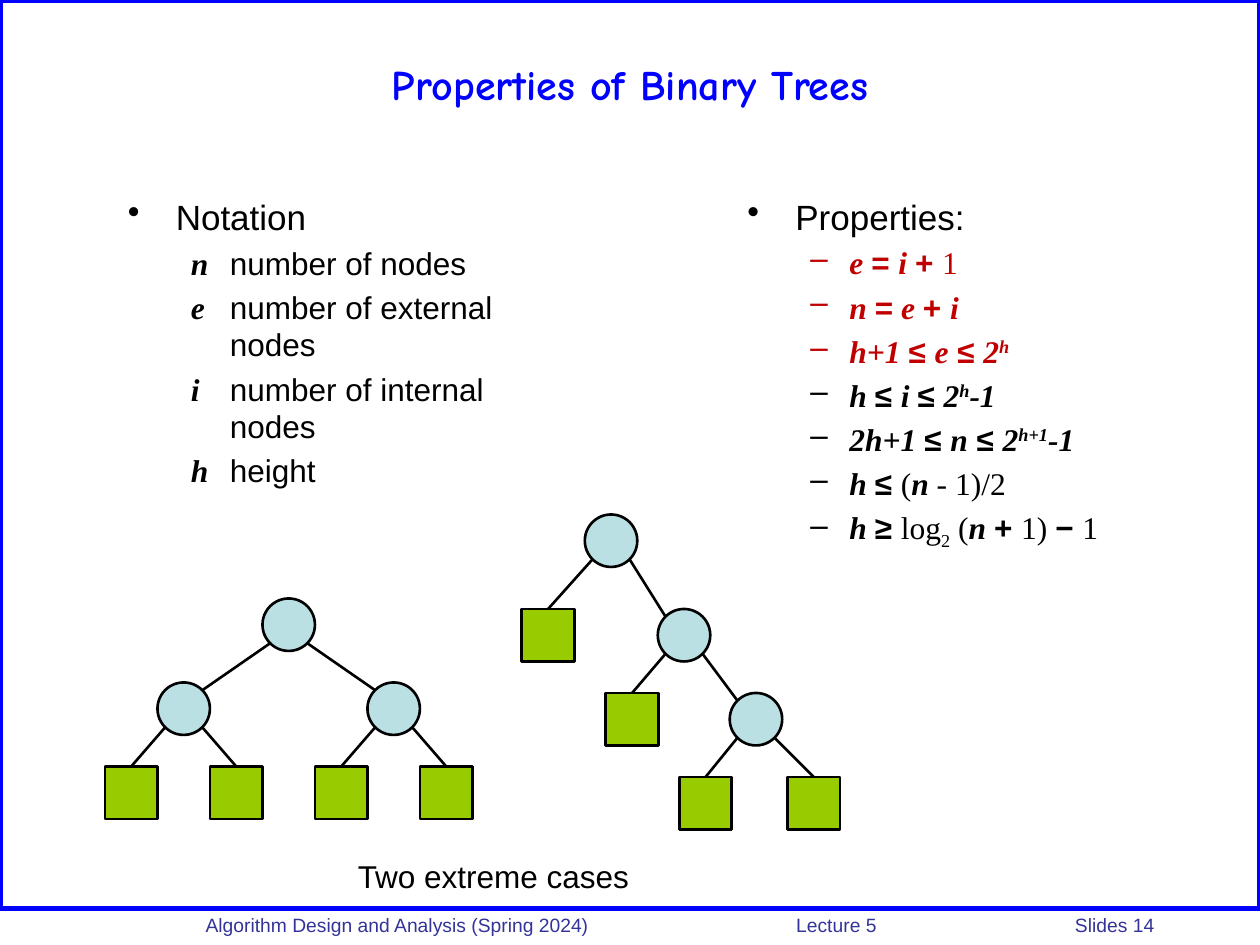
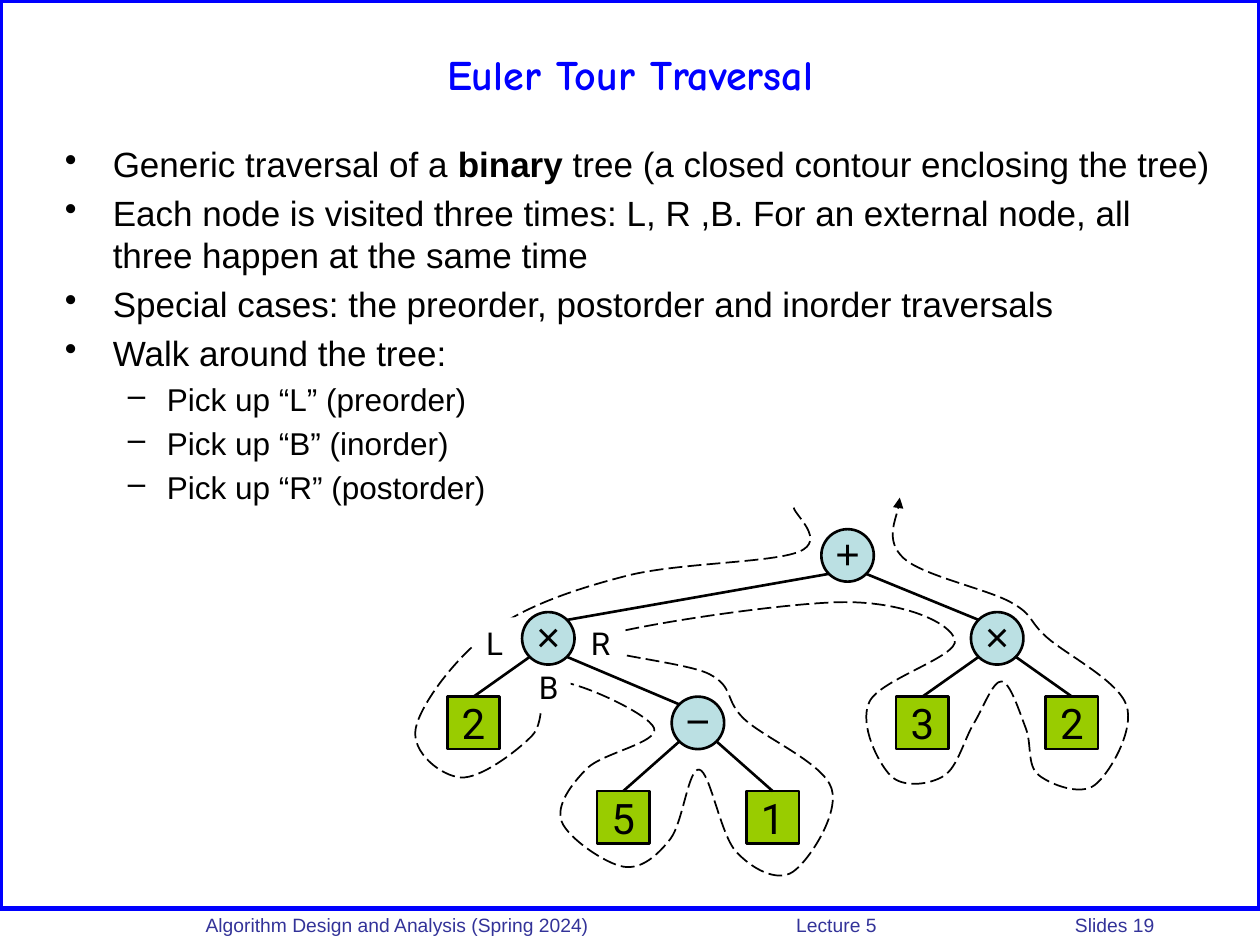
from itertools import count
from pptx import Presentation
from pptx.dml.color import RGBColor
from pptx.enum.dml import MSO_LINE
from pptx.enum.shapes import MSO_CONNECTOR, MSO_SHAPE
from pptx.enum.text import MSO_ANCHOR, PP_ALIGN
from pptx.oxml.ns import qn
from pptx.oxml.xmlchemy import OxmlElement
from pptx.util import Inches, Pt

COLS, ROWS = 24, 18
WIDTH, HEIGHT = Inches(10), Inches(7.5)
CELL = WIDTH / COLS

BLUE = RGBColor(0x00, 0x00, 0xFF)
NAVY = RGBColor(0x33, 0x33, 0x99)
BLACK = RGBColor(0x00, 0x00, 0x00)
WHITE = RGBColor(0xFF, 0xFF, 0xFF)
RED = RGBColor(0xC0, 0x00, 0x00)
PALE_BLUE = RGBColor(0xBB, 0xE0, 0xE3)
GREEN = RGBColor(0x99, 0xCC, 0x00)

TEXT = {"name": "Arial"}
STRONG = {"name": "Arial", "bold": True}
NUM = {"name": "Times New Roman"}
VAR = {"name": "Times New Roman", "bold": True, "italic": True}
SUP = {**VAR, "baseline": 30000}
SUB = {**NUM, "baseline": -25000}
TITLE = {"name": "Comic Neue", "bold": True}
LABEL = {"name": "Roboto"}

LEVELS = [
    {"size": 20, "left": 0.38, "hang": 0.38, "bullet": "•"},
    {"size": 18, "left": 0.81, "hang": 0.31, "bullet": "–"},
]

GLOSSARY = [("n", "number of nodes"), ("e", "number of external nodes"),
            ("i", "number of internal nodes"), ("h", "height")]

LE = ("≤ ", STRONG)
LE_SPACED = (" ≤ ", STRONG)
PLUS = ("+ ", STRONG)
FORMULAS = [
    (RED, [("e ", VAR), ("= ", STRONG), ("i ", VAR), PLUS, ("1", NUM)]),
    (RED, [("n ", VAR), ("=", STRONG), (" e ", VAR), PLUS, ("i", VAR)]),
    (RED, [("h+1 ", VAR), LE, ("e", VAR), LE_SPACED, ("2", VAR), ("h", SUP)]),
    (BLACK, [("h ", VAR), LE, ("i ", VAR), LE, ("2", VAR), ("h", SUP), ("-1", VAR)]),
    (BLACK, [("2h+1 ", VAR), LE, ("n", VAR), LE_SPACED, ("2", VAR), ("h+1", SUP),
             ("-1", VAR)]),
    (BLACK, [("h ", VAR), LE, ("(", NUM), ("n", VAR), (" - 1)/2", NUM)]),
    (BLACK, [("h ", VAR), ("≥ ", STRONG), ("log", NUM), ("2", SUB), (" (", NUM),
             ("n ", VAR), PLUS, ("1) ", NUM), ("− ", STRONG), ("1", NUM)]),
]

TOUR_POINTS = [
    "Each node is visited three times: L, R ,B. For an external node, "
    "all three happen at the same time",
    "Special cases: the preorder, postorder and inorder traversals",
    "Walk around the tree:",
]
PICKS = ["Pick up “L” (preorder)", "Pick up “B” (inorder)", "Pick up “R” (postorder)"]

LEAF_PAIR = ("", "", "")
BALANCED = (LEAF_PAIR, "", LEAF_PAIR)
CHAIN = ("", "", ("", "", LEAF_PAIR))
EXPRESSION = (("2", "×", ("5", "−", "1")), "+", ("3", "×", "2"))

TOUR = [
    (15.12, 9.67), (15.22, 10.51), (11.93, 10.97), (9.36, 12.02), (7.92, 13.87),
    (8.78, 14.81), (10.13, 14.02), (10.58, 12.98), (12.46, 13.87), (11.18, 14.64),
    (10.7, 15.65), (11.88, 16.51), (12.77, 15.98), (13.32, 14.66), (14.02, 16.22),
    (15.1, 16.61), (15.84, 15.02), (14.18, 13.7), (13.51, 12.84), (11.26, 12.19),
    (16.1, 11.47), (18.19, 12.19), (16.56, 13.37), (16.97, 14.78), (17.98, 14.78),
    (18.55, 13.78), (19.08, 12.98), (19.54, 13.87), (19.78, 14.76), (20.86, 14.95),
    (21.46, 13.44), (19.94, 12.14), (19.25, 11.47), (17.21, 10.63), (17.14, 9.48),
]


def cells(*values):
    """Turn grid columns or rows into lengths."""
    return [round(v * CELL) for v in values]


def apply(target, formats):
    """Set each attribute named in formats."""
    for name, value in formats.items():
        setattr(target, name, value)


def add_run(p, text, style, size, color=BLACK):
    """Add one formatted run to a paragraph."""
    r = p.add_run()
    r.text = text
    fonts = dict(style)
    baseline = fonts.pop("baseline", None)
    apply(r.font, {**fonts, "size": Pt(size)})
    r.font.color.rgb = color
    if baseline:
        r.font._element.set("baseline", str(baseline))


def add_text(s, box, text, style, size, color=BLACK, **frame):
    """Add a centred single-paragraph text box."""
    tf = s.shapes.add_textbox(*cells(*box)).text_frame
    apply(tf, {"word_wrap": True, **frame})
    p = tf.paragraphs[0]
    p.alignment = PP_ALIGN.CENTER
    add_run(p, text, style, size, color)


def add_list(s, box, items):
    """Add a two-level list of (level, bulleted, colour, runs) items."""
    tf = s.shapes.add_textbox(*cells(*box)).text_frame
    tf.word_wrap = True
    for n, (level, bulleted, color, runs) in enumerate(items):
        p = tf.add_paragraph() if n else tf.paragraphs[0]
        look = LEVELS[level]
        if n:
            p.space_before = Pt(look["size"] * 0.2)
        pPr = p._p.get_or_add_pPr()
        pPr.set("marL", str(Inches(look["left"])))
        pPr.set("indent", str(-Inches(look["hang"])))
        bullet = OxmlElement("a:buChar" if bulleted else "a:buNone")
        if bulleted:
            bullet.set("char", look["bullet"])
        pPr.append(bullet)
        for text, style in runs:
            add_run(p, text, style, look["size"], color)


def add_footer(s, number):
    """Add the footer line with its parts on tab stops."""
    tf = s.shapes.add_textbox(*cells(3.68, 17.28, 20.3, 0.62)).text_frame
    tf.word_wrap = True
    p = tf.paragraphs[0]
    tabs = OxmlElement("a:tabLst")
    for col in (11.25, 16.56):
        tab = OxmlElement("a:tab")
        tab.set("pos", str(round(col * CELL)))
        tab.set("algn", "l")
        tabs.append(tab)
    p._p.get_or_add_pPr().append(tabs)
    parts = ["Algorithm Design and Analysis (Spring 2024)", "Lecture 5", f"Slides {number}"]
    add_run(p, "\t".join(parts), TEXT, 11, NAVY)


def add_box(s, kind, box, fill=None, line=None, weight=1.5):
    """Add a preset shape with its fill and outline."""
    sp = s.shapes.add_shape(kind, *cells(*box))
    sp.shadow.inherit = False
    if fill is None:
        sp.fill.background()
    else:
        sp.fill.solid()
        sp.fill.fore_color.rgb = fill
    if line is None:
        sp.line.fill.background()
    else:
        sp.line.color.rgb = line
        sp.line.width = Pt(weight)
    return sp


def label_shape(sp, text, style, size, bottom=0):
    """Centre a short label in a shape."""
    tf = sp.text_frame
    apply(tf, {"word_wrap": False, "vertical_anchor": MSO_ANCHOR.MIDDLE,
               "margin_left": 0, "margin_right": 0, "margin_top": 0,
               "margin_bottom": Inches(bottom)})
    p = tf.paragraphs[0]
    p.alignment = PP_ALIGN.CENTER
    add_run(p, text, style, size)


def add_edge(s, parent, child, is_leaf):
    """Join a parent's lower corner to the top of its child."""
    (px, py), (cx, cy) = parent, child
    corner = 0.35
    side = corner if cx > px else -corner
    end = (cx, cy - 0.5) if is_leaf else (cx - side, cy - corner)
    line = s.shapes.add_connector(MSO_CONNECTOR.STRAIGHT,
                                  *cells(px + side, py + corner, *end))
    line.line.color.rgb = BLACK
    line.line.width = Pt(1.5)
    line._element.spPr.append(OxmlElement("a:effectLst"))


def add_tree(s, tree, cols, rows):
    """Draw a tree in inorder, one column per node, and return its root's centre."""
    is_leaf = isinstance(tree, str)
    left, text, right = (None, tree, None) if is_leaf else tree
    children = []
    if not is_leaf:
        children.append((add_tree(s, left, cols, rows[1:]), left))
    col, row = next(cols), rows[0]
    if not is_leaf:
        children.append((add_tree(s, right, cols, rows[1:]), right))
    centre = (col + 0.5, row + 0.5)
    for point, child in children:
        add_edge(s, centre, point, isinstance(child, str))
    kind, fill = (MSO_SHAPE.RECTANGLE, GREEN) if is_leaf else (MSO_SHAPE.OVAL, PALE_BLUE)
    sp = add_box(s, kind, (col, row, 1, 1), fill, BLACK)
    if text:
        label_shape(sp, text, *((LABEL, 24) if is_leaf else (TEXT, 24, 0.05)))
    return centre


def add_curve(s, knots):
    """Draw a dashed arrow as a smooth spline through the knots."""
    padded = [knots[0], *knots, knots[-1]]
    slopes = [((nx - bx) / 6, (ny - by) / 6)
              for (bx, by), (nx, ny) in zip(padded, padded[2:])]
    points = []
    for n in range(1, len(knots)):
        (ax, ay), (bx, by) = knots[n - 1:n + 1]
        (ux, uy), (vx, vy) = slopes[n - 1:n + 1]
        points += [(ax + ux, ay + uy), (bx - vx, by - vy), (bx, by)]
    builder = s.shapes.build_freeform(*cells(*knots[0]))
    builder.add_line_segments([cells(*point) for point in points], close=False)
    sp = builder.convert_to_shape()
    outline = sp._element.find(".//" + qn("a:path"))
    segments = outline.findall(qn("a:lnTo"))
    for n in range(0, len(segments), 3):
        curve = OxmlElement("a:cubicBezTo")
        for segment in segments[n:n + 3]:
            curve.append(segment[0])
            outline.remove(segment)
        outline.append(curve)
    sp.shadow.inherit = False
    sp.fill.background()
    sp.line.color.rgb = BLACK
    apply(sp.line, {"width": Pt(1), "dash_style": MSO_LINE.LONG_DASH})
    head = OxmlElement("a:tailEnd")
    head.set("type", "triangle")
    sp._element.spPr.find(qn("a:ln")).append(head)


def add_slide(prs, title, title_row, number):
    """Add a slide with the shared border, footer and title."""
    s = prs.slides.add_slide(prs.slide_layouts[6])
    add_box(s, MSO_SHAPE.RECTANGLE, (0, 0, COLS, 17.3), None, BLUE, 3)
    add_footer(s, number)
    add_text(s, (1.2, title_row, 21.6, 2.4), title, TITLE, 24, BLUE,
             vertical_anchor=MSO_ANCHOR.MIDDLE)
    return s


def add_properties_slide(prs):
    """Build the slide on the properties of binary trees."""
    s = add_slide(prs, "Properties of Binary Trees", 0.4, 14)
    add_list(s, (2.2, 3.6, 8, 6.8),
             [(0, True, BLACK, [("Notation", TEXT)])]
             + [(1, False, BLACK, [(symbol + "\t", VAR), (meaning, TEXT)])
                for symbol, meaning in GLOSSARY])
    add_list(s, (14, 3.6, 9, 9.6),
             [(0, True, BLACK, [("Properties:", TEXT)])]
             + [(1, True, color, runs) for color, runs in FORMULAS])
    add_tree(s, BALANCED, count(2), [11.4, 13, 14.6])
    add_tree(s, CHAIN, iter([9.94, 11.14, 11.54, 12.53, 12.94, 13.9, 15]),
             [9.8, 11.6, 13.2, 14.8])
    add_text(s, (6.4, 16.2, 6, 1), "Two extreme cases", TEXT, 18)


def add_tour_slide(prs):
    """Build the slide on the Euler tour."""
    s = add_slide(prs, "Euler Tour Traversal", 0.2, 19)
    opening = [("Generic traversal of a ", TEXT), ("binary", STRONG),
               (" tree (a closed contour enclosing the tree)", TEXT)]
    add_list(s, (1, 2.6, 22.4, 7.6),
             [(0, True, BLACK, opening)]
             + [(0, True, BLACK, [(text, TEXT)]) for text in TOUR_POINTS]
             + [(1, True, BLACK, [(text, TEXT)]) for text in PICKS])
    add_curve(s, TOUR)
    for visit, col, row in [("L", 9, 11.76), ("B", 10.03, 12.6), ("R", 11.02, 11.76)]:
        sp = add_box(s, MSO_SHAPE.RECTANGLE, (col, row, 0.84, 0.96), WHITE)
        label_shape(sp, visit, LABEL, 18)
    first, last = 8.52, 19.92
    add_tree(s, EXPRESSION, count(first, (last - first) / 8),
             [10.08, 11.66, 13.27, 15.07])


def main():
    """Build both slides and save them."""
    prs = Presentation()
    apply(prs, {"slide_width": WIDTH, "slide_height": HEIGHT})
    add_properties_slide(prs)
    add_tour_slide(prs)
    prs.save("out.pptx")


if __name__ == "__main__":
    main()
